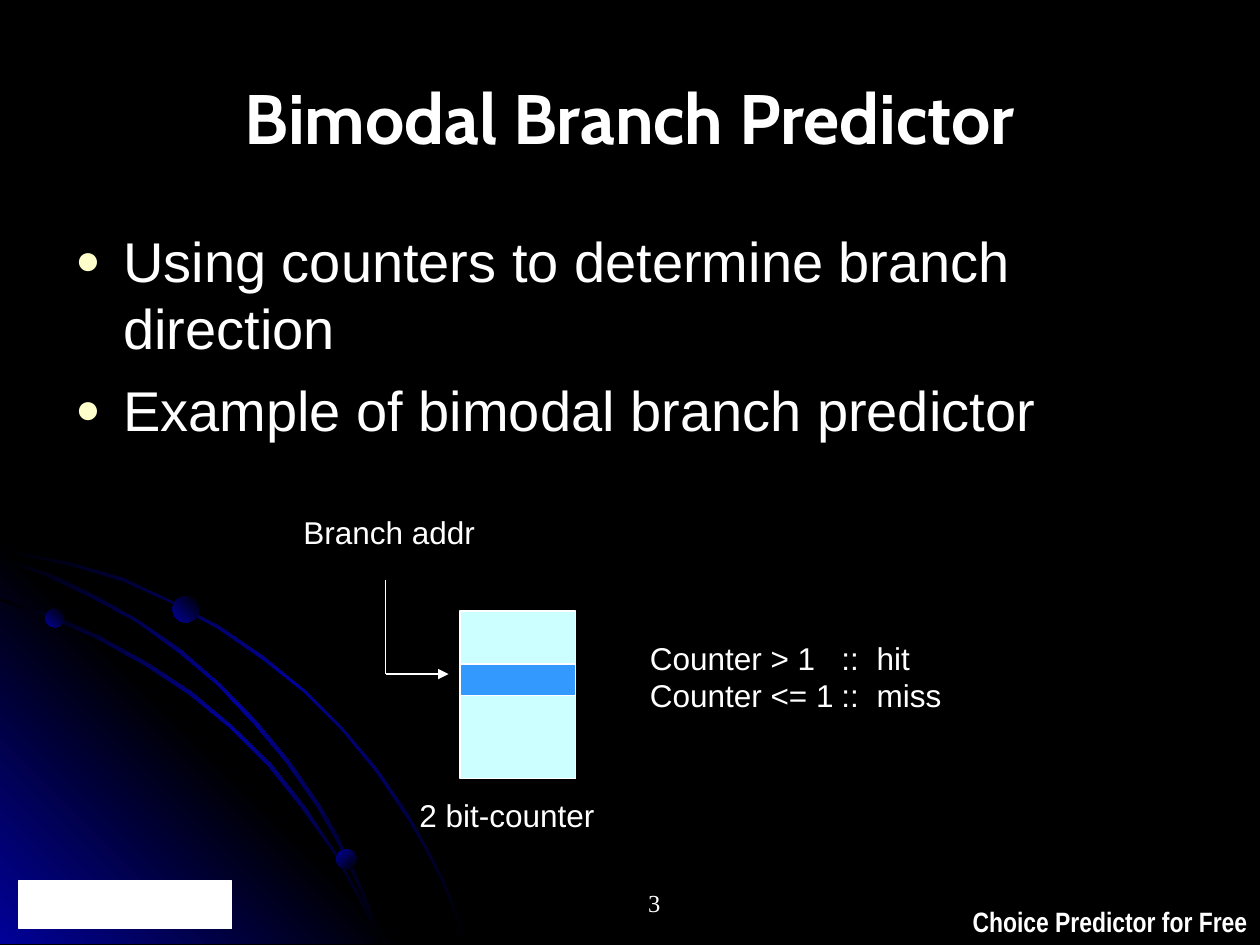
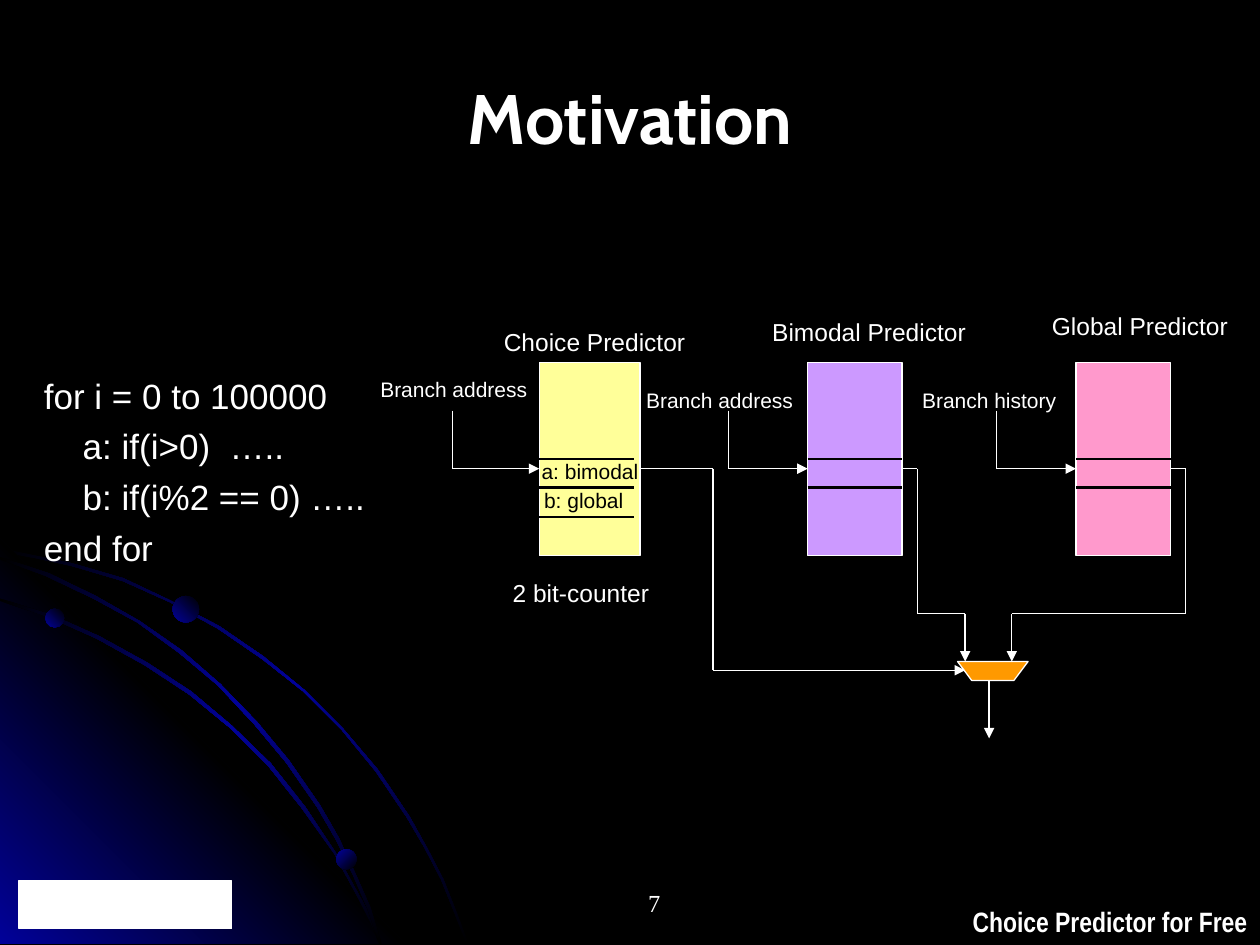
from dataclasses import dataclass
from itertools import pairwise

from lxml.etree import SubElement
from pptx import Presentation
from pptx.dml.color import RGBColor
from pptx.enum.shapes import MSO_CONNECTOR, MSO_SHAPE
from pptx.enum.text import MSO_ANCHOR, MSO_AUTO_SIZE, PP_ALIGN
from pptx.oxml.ns import qn
from pptx.util import Pt

PX = 9144


@dataclass(frozen=True)
class Theme:
    """Colours, fonts and type sizes of the deck."""
    black: str = "000000"
    white: str = "FFFFFF"
    navy: str = "010199"
    cream: str = "FFFFCC"
    aqua: str = "CCFFFF"
    blue: str = "3399FF"
    yellow: str = "FFFF99"
    purple: str = "CC99FF"
    pink: str = "FF99CC"
    orange: str = "FF9900"
    sans: str = "Arial"
    narrow: str = "Arial Narrow"
    head: str = "Cabin"
    serif: str = "Times New Roman"
    title: int = 40
    body: int = 32
    code: int = 20
    label: int = 18
    foot: int = 16
    name: int = 14
    small: int = 12
    thin: float = 0.75
    thick: float = 1.25


T = Theme()

ARCS = [
    [(57, 447), (28, 441), (0, 435), (0, 438), (28, 443), (56, 449), (97, 461),
     (135, 478), (173, 499), (208, 523), (241, 549), (271, 579), (298, 612),
     (323, 649), (337, 673), (350, 698), (360, 723), (370, 749), (372, 749),
     (362, 723), (352, 698), (339, 673), (325, 648), (300, 611), (272, 578),
     (242, 548), (209, 521), (174, 497), (136, 477), (98, 459)],
    [(285, 714), (294, 732), (301, 749), (303, 749), (296, 730), (286, 712),
     (266, 676), (242, 640), (215, 606), (184, 576), (152, 549), (117, 526),
     (79, 505), (41, 488), (0, 475), (0, 477), (39, 490), (77, 507), (115, 528),
     (150, 551), (183, 578), (213, 608), (240, 642), (265, 677)],
    [(0, 442), (0, 444), (36, 457), (74, 475), (109, 494), (142, 518), (173, 544),
     (202, 575), (227, 605), (252, 641), (267, 667), (280, 694), (292, 722),
     (301, 749), (303, 749), (294, 720), (282, 693), (269, 665), (254, 639),
     (229, 603), (204, 573), (175, 543), (144, 516), (111, 493), (76, 473),
     (39, 455)],
]
WEDGE = [(322, 749), (0, 749), (0, 427)]
DOTS = [(36, 483, 15, 135), (267, 674, 16, 225), (137, 473, 21, 135)]


def rgb(code):
    """Turn a hex code into a colour."""
    return RGBColor.from_string(code)


def emu(*sizes):
    """Scale px lengths to EMU."""
    return [size * PX for size in sizes]


def shift(box, dx, dy):
    """Give the point at an offset from the corner of a box."""
    return box[0] + dx, box[1] + dy


def text(slide, box, lines, size, color=T.white, font=T.sans, bold=False,
         align=PP_ALIGN.LEFT, wrap=False, gap=0):
    """Add a text box and return its frame."""
    frame = slide.shapes.add_textbox(*emu(*box)).text_frame
    frame.text = lines
    frame.word_wrap = wrap
    frame.auto_size = MSO_AUTO_SIZE.NONE if wrap else MSO_AUTO_SIZE.SHAPE_TO_FIT_TEXT
    for row, para in enumerate(frame.paragraphs):
        para.alignment = align
        if row and gap:
            para.space_before = Pt(gap)
        for run in para.runs:
            run.font.size = Pt(size)
            run.font.name = font
            run.font.bold = bold
            run.font.color.rgb = rgb(color)
    return frame


def block(slide, box, fill, kind=MSO_SHAPE.RECTANGLE):
    """Add a filled shape with a thin white edge."""
    shape = slide.shapes.add_shape(kind, *emu(*box))
    shape.shadow.inherit = False
    shape.fill.solid()
    shape.fill.fore_color.rgb = rgb(fill)
    shape.line.color.rgb = rgb(T.white)
    shape.line.width = Pt(T.thin)


def wire(slide, points, color=T.white, width=T.thin, arrow=True):
    """Join points with straight lines, with an arrowhead on the last."""
    for start, end in pairwise(points):
        link = slide.shapes.add_connector(MSO_CONNECTOR.STRAIGHT, *emu(*start, *end))
        link.line.color.rgb = rgb(color)
        link.line.width = Pt(width)
        props = link.element.spPr
        if arrow and end == points[-1]:
            SubElement(props.find(qn("a:ln")), qn("a:tailEnd"), type="triangle")
        SubElement(props, qn("a:effectLst"))


def shade(shape, colors, angle):
    """Fill a shape with evenly spaced gradient stops and no edge."""
    shape.shadow.inherit = False
    shape.line.fill.background()
    shape.fill.gradient()
    grad = shape.element.spPr.find(qn("a:gradFill"))
    for child in list(grad):
        grad.remove(child)
    stops = SubElement(grad, qn("a:gsLst"))
    for index, color in enumerate(colors):
        place = index * 100000 // (len(colors) - 1)
        stop = SubElement(stops, qn("a:gs"), pos=str(place))
        SubElement(stop, qn("a:srgbClr"), val=color)
    SubElement(grad, qn("a:lin"), ang=str(angle * 60000), scaled="0")


def outline(slide, points, colors, angle):
    """Add a closed outline with a gradient."""
    pen = slide.shapes.build_freeform(*points[0], scale=PX)
    pen.add_line_segments(points[1:], close=True)
    shade(pen.convert_to_shape(), colors, angle)


def orbit(slide):
    """Draw the glowing corner with its arcs and dots."""
    glow = [T.black, T.navy, T.black]
    outline(slide, ARCS[0], glow, 225)
    outline(slide, WEDGE, [T.navy, T.black, T.navy], 135)
    for arc in ARCS[1:]:
        outline(slide, arc, glow, 225)
    for x, y, size, angle in DOTS:
        dot = slide.shapes.add_shape(MSO_SHAPE.OVAL, *emu(x, y, size, size))
        shade(dot, [T.black, T.navy], angle)


def base(deck, title, number):
    """Add a slide with its backdrop, title and footer."""
    slide = deck.slides.add_slide(deck.slide_layouts[6])
    slide.background.fill.solid()
    slide.background.fill.fore_color.rgb = rgb(T.black)
    orbit(slide)
    text(slide, (762, 713, 238, 37), "Choice Predictor for Free", T.foot,
         font=T.narrow, bold=True)
    block(slide, (15, 699, 169, 38), T.white)
    frame = text(slide, (50, 30, 900, 125), title, T.title, font=T.head,
                 bold=True, align=PP_ALIGN.CENTER, wrap=True)
    frame.vertical_anchor = MSO_ANCHOR.MIDDLE
    text(slide, (417, 700, 117, 42), str(number), T.name, font=T.serif,
         align=PP_ALIGN.RIGHT, wrap=True)
    return slide


def bullets(slide, box, lines):
    """Add a list with round bullets."""
    frame = text(slide, box, lines, T.body, wrap=True, gap=8)
    for para in frame.paragraphs:
        props = para._p.get_or_add_pPr()
        props.set("marL", str(38 * PX))
        props.set("indent", str(-38 * PX))
        tint = SubElement(props, qn("a:buClr"))
        SubElement(tint, qn("a:srgbClr"), val=T.cream)
        SubElement(props, qn("a:buSzPct"), val="75000")
        SubElement(props, qn("a:buFont"), typeface=T.sans)
        SubElement(props, qn("a:buChar"), char="●")


def rules(slide, box, lines):
    """List the counter rules in tabbed columns."""
    frame = text(slide, box, lines, T.label)
    for para in frame.paragraphs:
        tabs = SubElement(para._p.get_or_add_pPr(), qn("a:tabLst"))
        for stop in (152, 180):
            SubElement(tabs, qn("a:tab"), pos=str(stop * PX), algn="l")


def counter(slide, box):
    """Draw the two-bit counter table with its address and rules."""
    x, y, w, h = box
    block(slide, box, T.aqua)
    block(slide, (x, y + 42, w, 25), T.blue)
    wire(slide, [shift(box, *spot) for spot in ((-59, -25), (-59, 50), (-9, 50))])
    text(slide, (x - 134, y - 83, 160, 40), "Branch addr", T.label)
    text(slide, (x - 42, y + h + 9, 163, 40), "2 bit-counter", T.label)
    rules(slide, (x + 141, y + 17, 256, 70),
          "Counter > 1\t::\thit\nCounter <= 1\t::\tmiss")


def table(slide, box, fill, marks, name, feed, lead):
    """Draw a predictor table with its name and its input."""
    block(slide, box, fill)
    for mark in marks:
        wire(slide, [shift(box, 0, mark), shift(box, 75, mark)],
             T.black, T.thick, arrow=False)
    wire(slide, [shift(box, *spot) for spot in ((-lead, 38), (-lead, 84), (0, 84))])
    for (label, dx, dy, w), size, h in ((name, T.name, 34), (feed, T.small, 30)):
        text(slide, (*shift(box, dx, dy), w, h), label, size)


def choice(slide, box):
    """Draw the choice, bimodal and global tables joined by a selector."""
    x, y, w, h = box
    marks = [76, 99]
    step = 213
    table(slide, (x, y, 80, h), T.yellow, marks + [122],
          ("Choice Predictor", -38, -33, 168), ("Branch address", -136, 6, 140), 69)
    table(slide, (x + step, y, 75, h), T.purple, marks,
          ("Bimodal Predictor", -38, -41, 178), ("Branch address", -138, 15, 140), 63)
    table(slide, (x + 2 * step, y, 75, h), T.pink, marks,
          ("Global Predictor", -29, -46, 164), ("Branch history", -132, 15, 130), 63)
    text(slide, (x - 31, y + 166, 132, 34), "2 bit-counter", T.name)
    text(slide, (x - 8, y + 71, 101, 30), "a: bimodal", T.small, T.black)
    text(slide, (x - 6, y + 94, 87, 30), "b: global", T.small, T.black)
    block(slide, (x + 332, y + 237, 56, 15), T.orange,
          MSO_SHAPE.FLOWCHART_MANUAL_OPERATION)
    routes = [
        [(80, 84), (138, 84), (138, 244), (338, 244)],
        [(288, 84), (300, 84), (300, 199), (338, 199), (338, 237)],
        [(501, 84), (513, 84), (513, 199), (375, 199), (375, 237)],
        [(357, 252), (357, 298)],
    ]
    for route in routes:
        wire(slide, [shift(box, *spot) for spot in route])


def bimodal(deck):
    """Build the slide on the bimodal predictor."""
    slide = base(deck, "Bimodal Branch Predictor", 3)
    bullets(slide, (50, 175, 900, 495),
            "Using counters to determine branch direction\n"
            "Example of bimodal branch predictor")
    counter(slide, (365, 485, 92, 133))


def motive(deck):
    """Build the slide on the motivation."""
    slide = base(deck, "Motivation", 7)
    text(slide, (25, 292, 325, 183),
         "for i = 0 to 100000\n    a: if(i>0)  …..\n"
         "    b: if(i%2 == 0) …..\nend for", T.code, wrap=True, gap=5)
    choice(slide, (428, 288, 513, 153))


def main():
    """Build and save the deck."""
    deck = Presentation()
    deck.slide_width, deck.slide_height = emu(1000, 750)
    bimodal(deck)
    motive(deck)
    deck.save("out.pptx")


if __name__ == "__main__":
    main()
